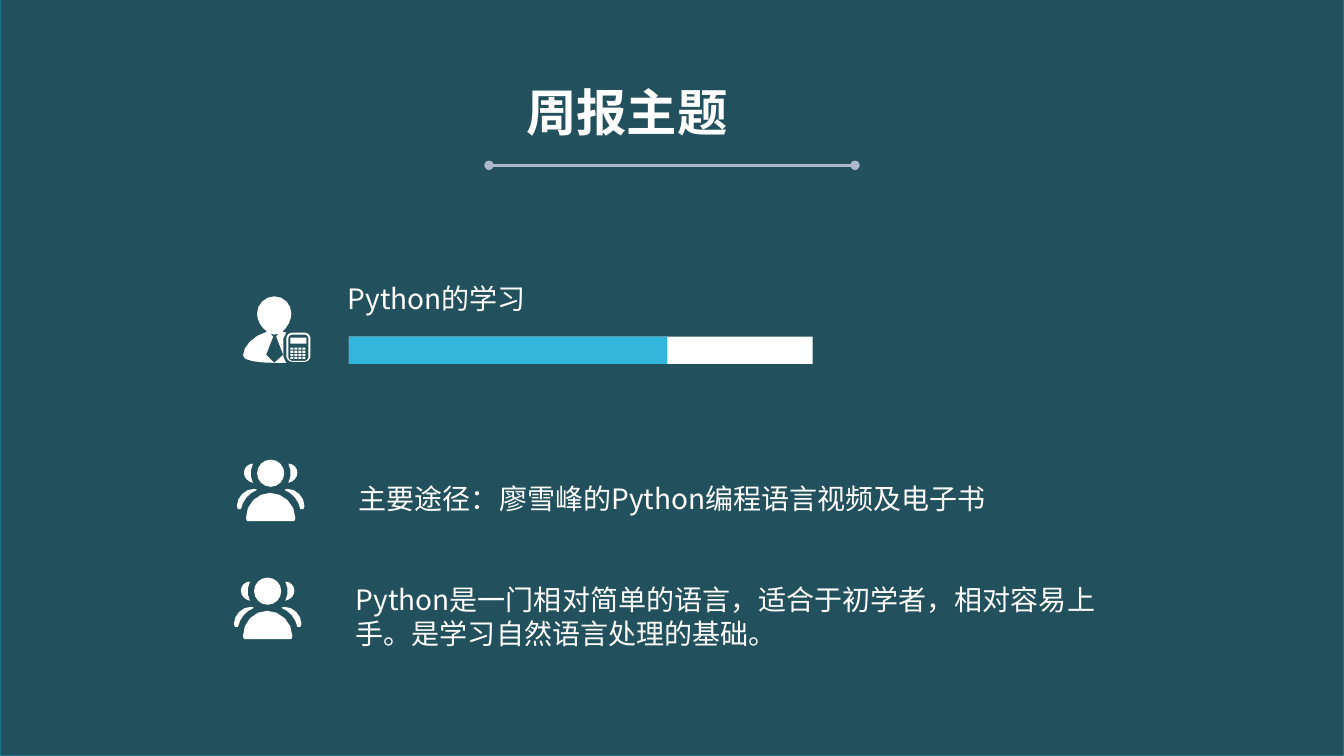
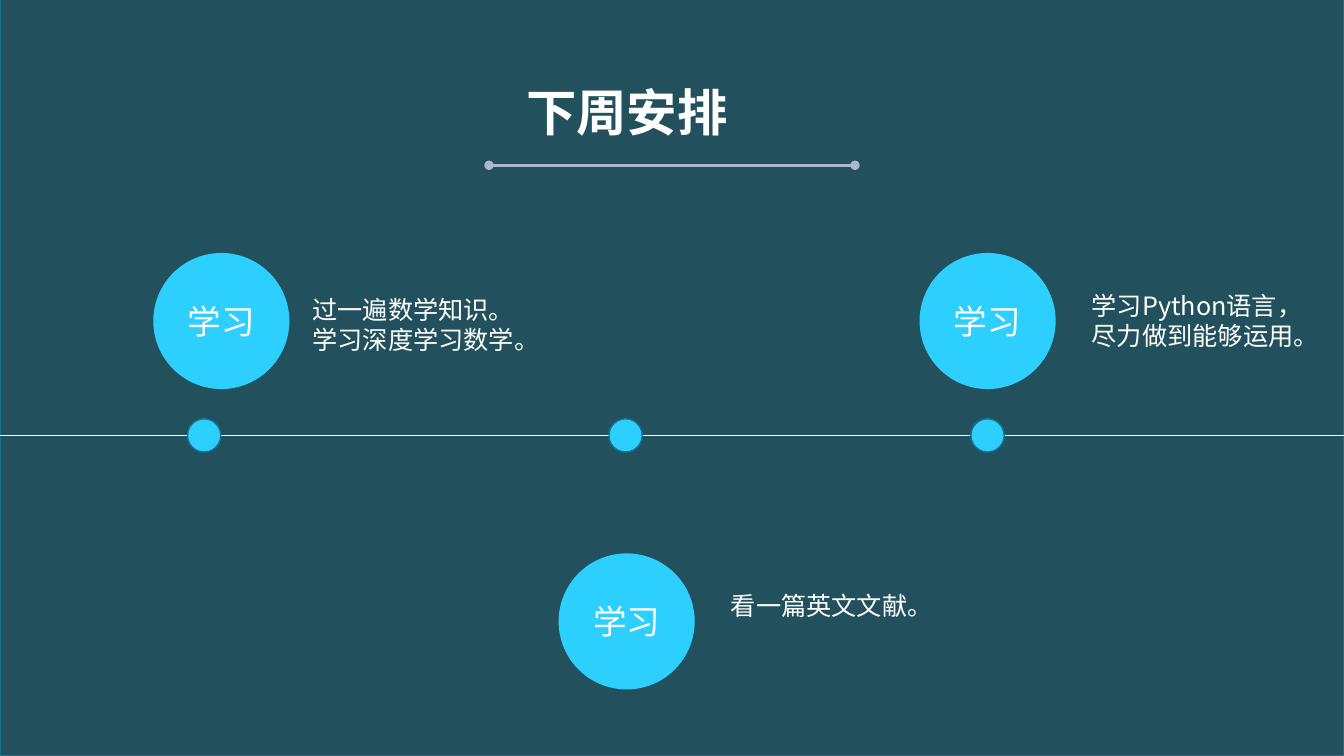
import pptx
import pptx.dml.color
import pptx.enum.shapes
import pptx.enum.text
import pptx.oxml.ns
import pptx.util
from lxml import etree

Inches = pptx.util.Inches
ALIGN = pptx.enum.text.PP_ALIGN
ANCHOR = pptx.enum.text.MSO_ANCHOR
SHAPE = pptx.enum.shapes.MSO_SHAPE

FONT = "Noto Sans CJK SC"
WIDTH, HEIGHT = 13.33, 7.5
WHITE = "FFFFFF"
BACKDROP = "0D404E"
EDGE = "19738D"
TITLE_RULE = "ADB9CA"
PROGRESS = "32B6DC"
BUBBLE = "2DCFFF"

BUBBLE_SIZE = 1.35
DOT_SIZE = 0.33
TIMELINE_Y = 4.32
PEOPLE_WIDTH = 0.67


def color(value):
    return pptx.dml.color.RGBColor.from_string(value)


def add_xml(parent, tag, **attributes):
    return etree.SubElement(parent, pptx.oxml.ns.qn(tag), **attributes)


def write(shape, text, size=18, font=FONT, bold=False, align=ALIGN.LEFT, anchor=ANCHOR.TOP):
    frame = shape.text_frame
    frame.word_wrap = True
    frame.vertical_anchor = anchor
    para = frame.paragraphs[0]
    para.alignment = align
    spans = [(text, font)] if isinstance(text, str) else text
    for words, typeface in spans:
        span = para.add_run()
        span.text = words
        span.font.size = pptx.util.Pt(size)
        span.font.bold = bold
        span.font.name = typeface
        span.font.color.rgb = color(WHITE)
        add_xml(span.font._element, "a:ea", typeface=typeface)


def add_text(page, left, top, width, height, text, **format):
    box = page.shapes.add_textbox(Inches(left), Inches(top), Inches(width), Inches(height))
    write(box, text, **format)


def paint(shape, fill, line=None):
    shape.shadow.inherit = False
    shape.fill.solid()
    shape.fill.fore_color.rgb = color(fill)
    if line:
        shape.line.color.rgb = color(line)
        shape.line.width = pptx.util.Pt(1)
    else:
        shape.line.fill.background()


def add_shape(page, kind, left, top, width, height, fill, line=None):
    shape = page.shapes.add_shape(kind, Inches(left), Inches(top), Inches(width), Inches(height))
    paint(shape, fill, line)
    return shape


def add_line(page, start, end, y, stroke, weight, ends=None):
    line = page.shapes.add_connector(
        pptx.enum.shapes.MSO_CONNECTOR.STRAIGHT, Inches(start), Inches(y), Inches(end), Inches(y))
    line.line.color.rgb = color(stroke)
    line.line.width = pptx.util.Pt(weight)
    if ends:
        for tag in ("a:headEnd", "a:tailEnd"):
            add_xml(line.line._get_or_add_ln(), tag, type=ends)
    add_xml(line._element.spPr, "a:effectLst")


def outline(start, *segments, steps=4):
    points = [start]
    for segment in segments:
        if len(segment) == 2:
            points.append(segment)
            continue
        x0, y0 = points[-1]
        x1, y1, x2, y2, x3, y3 = segment
        for step in range(1, steps + 1):
            t = step / steps
            a, b, c, d = (1 - t) ** 3, 3 * t * (1 - t) ** 2, 3 * t * t * (1 - t), t ** 3
            points.append((a * x0 + b * x1 + c * x2 + d * x3, a * y0 + b * y1 + c * y2 + d * y3))
    return points


def rectangle(left, top, width, height):
    right, bottom = left + width, top + height
    return [(left, top), (right, top), (right, bottom), (left, bottom)]


def rounded(left, top, width, height, radius):
    right, bottom, pull = left + width, top + height, 0.45 * radius
    return outline(
        (left + radius, top), (right - radius, top),
        (right - pull, top, right, top + pull, right, top + radius), (right, bottom - radius),
        (right, bottom - pull, right - pull, bottom, right - radius, bottom), (left + radius, bottom),
        (left + pull, bottom, left, bottom - pull, left, bottom - radius), (left, top + radius),
        (left, top + pull, left + pull, top, left + radius, top))


def mirror(points):
    return [(PEOPLE_WIDTH - x, y) for x, y in points]


def people_icon():
    head = rounded(0.2, 0, 0.27, 0.27, 0.27 / 2)
    body = outline(
        (0.33, 0.33), (0.46, 0.33, 0.58, 0.44, 0.58, 0.58), (0.57, 0.61),
        (0.1, 0.61), (0.09, 0.58), (0.09, 0.44, 0.2, 0.33, 0.33, 0.33))
    shoulder = outline(
        (0.17, 0.29), (0.2, 0.3), (0.12, 0.33, 0.06, 0.4, 0.04, 0.49),
        (0.01, 0.49), (0, 0.46), (0, 0.37, 0.08, 0.29, 0.17, 0.29))
    side_head = outline(
        (0.16, 0.04), (0.14, 0.1), (0.14, 0.17), (0.16, 0.23),
        (0.11, 0.22, 0.07, 0.18, 0.07, 0.13), (0.07, 0.08, 0.11, 0.04, 0.16, 0.04))
    return [head, body, shoulder, mirror(shoulder), side_head, mirror(side_head)]


def accountant_icon():
    person = outline(
        (0.31, 0), (0.41, 0, 0.48, 0.08, 0.48, 0.17), (0.48, 0.24, 0.44, 0.31, 0.39, 0.35),
        (0.43, 0.36), (0.4, 0.42), (0.4, 0.6), (0.43, 0.66), (0.31, 0.66), (0.4, 0.58),
        (0.33, 0.4), (0.35, 0.37), (0.31, 0.38), (0.27, 0.37), (0.3, 0.4), (0.23, 0.58),
        (0.31, 0.66), (0.16, 0.66, 0, 0.64, 0, 0.59), (0, 0.5, 0.1, 0.39, 0.24, 0.35),
        (0.18, 0.31, 0.14, 0.24, 0.14, 0.17), (0.14, 0.08, 0.22, 0, 0.31, 0))
    case = rounded(0.43, 0.36, 0.24, 0.29, 0.06)
    face = rounded(0.45, 0.38, 0.2, 0.26, 0.04)
    screen = rectangle(0.47, 0.41, 0.16, 0.06)
    keys = [rectangle(0.47 + 0.04 * column, 0.51 + 0.03 * row, 0.03, 0.02)
            for row in range(4) for column in range(4)]
    return [person, case, face, screen, *keys]


def add_icon(page, left, top, contours):
    builder = None
    for contour in contours:
        points = [(Inches(left + x), Inches(top + y)) for x, y in contour]
        if builder is None:
            builder = page.shapes.build_freeform(*points[0])
        else:
            builder.move_to(*points[0])
        builder.add_line_segments(points[1:], close=True)
    paint(builder.convert_to_shape(), WHITE)


def add_page(deck, title):
    page = deck.slides.add_slide(deck.slide_layouts[6])
    backdrop = add_shape(page, SHAPE.RECTANGLE, 0, -0.08, WIDTH, HEIGHT + 0.08, BACKDROP, EDGE)
    fill = backdrop._element.spPr.find(pptx.oxml.ns.qn("a:solidFill"))
    add_xml(fill[0], "a:alpha", val="91000")
    add_text(page, 5.12, 0.66, 3.09, 0.89, title,
             size=36, bold=True, align=ALIGN.JUSTIFY, anchor=ANCHOR.MIDDLE)
    add_line(page, 4.85, 8.48, 1.64, TITLE_RULE, 2.25, ends="oval")
    return page


def add_topic_page(deck):
    page = add_page(deck, "周报主题")
    add_icon(page, 2.41, 2.94, accountant_icon())
    add_text(page, 3.35, 2.74, 8.98, 0.44, "Python的学习", size=20)
    for width, fill in ((4.6, WHITE), (3.16, PROGRESS)):
        add_shape(page, SHAPE.RECTANGLE, 3.46, 3.34, width, 0.27, fill)
    add_icon(page, 2.35, 4.56, people_icon())
    add_text(page, 3.46, 4.73, 7.59, 0.44, "主要途径：廖雪峰的Python编程语言视频及电子书", size=20)
    add_icon(page, 2.32, 5.73, people_icon())
    summary = [
        ("Python", "Noto Sans CJK JP"),
        ("是一门相对简单的语言，适合于初学者，相对容易上手。", FONT),
        ("是学习自然语言处理的基础。", "Arial"),
    ]
    add_text(page, 3.43, 5.73, 7.59, 0.77, summary, size=20)


def add_plan_page(deck):
    page = add_page(deck, "下周安排")
    add_line(page, 0, WIDTH, TIMELINE_Y, WHITE, 0.5)
    plans = [
        (1.52, 2.51, 1.86, 3, 2.87, "过一遍数学知识。学习深度学习数学。"),
        (5.54, 5.49, 6.04, 7.15, 5.81, "看一篇英文文献。"),
        (9.12, 2.51, 9.63, 10.73, 2.83, "学习Python语言，尽力做到能够运用。"),
    ]
    for left, top, dot_left, text_left, text_top, text in plans:
        bubble = add_shape(page, SHAPE.OVAL, left, top, BUBBLE_SIZE, BUBBLE_SIZE, BUBBLE)
        write(bubble, "学习", size=24, align=ALIGN.CENTER, anchor=ANCHOR.MIDDLE)
        add_text(page, text_left, text_top, 2.29, 0.71, text)
        add_shape(page, SHAPE.OVAL, dot_left, TIMELINE_Y - DOT_SIZE / 2,
                  DOT_SIZE, DOT_SIZE, BUBBLE, EDGE)


def main():
    deck = pptx.Presentation()
    deck.slide_width = Inches(WIDTH)
    deck.slide_height = Inches(HEIGHT)
    add_topic_page(deck)
    add_plan_page(deck)
    deck.save("out.pptx")


if __name__ == "__main__":
    main()
